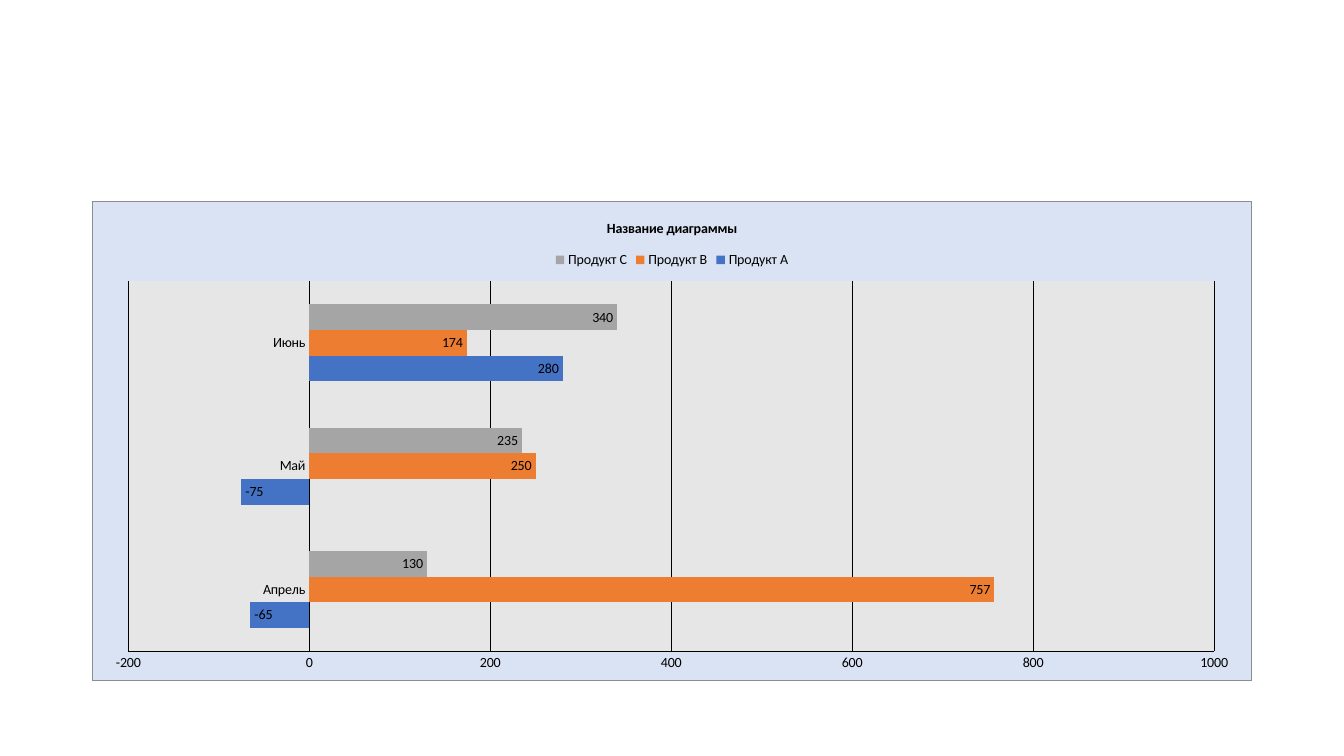
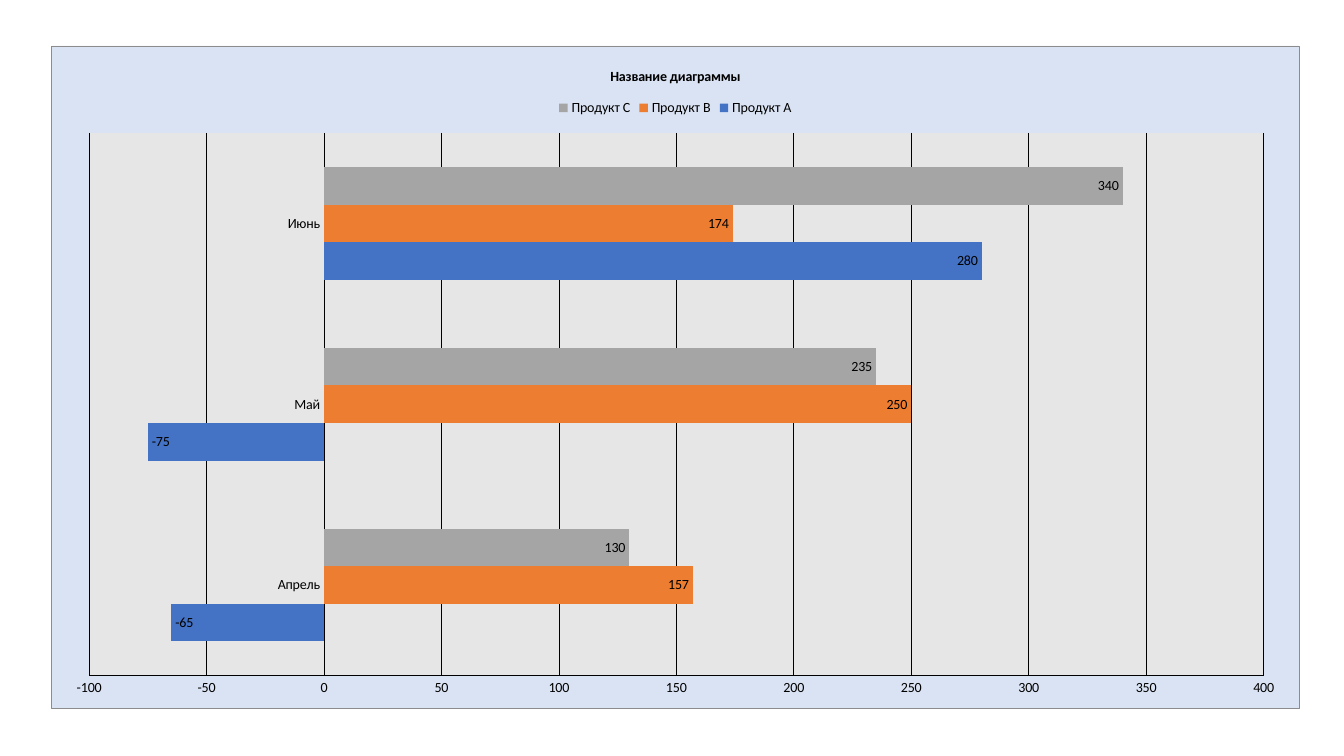
from lxml.etree import SubElement
from pptx import Presentation
from pptx.chart.data import CategoryChartData
from pptx.dml.color import RGBColor
from pptx.enum.chart import XL_CHART_TYPE, XL_LABEL_POSITION, XL_LEGEND_POSITION, XL_TICK_MARK
from pptx.oxml import parse_xml
from pptx.oxml.ns import nsdecls, qn
from pptx.util import Pt

BLACK = RGBColor(0x00, 0x00, 0x00)
BLUE = RGBColor(0x44, 0x72, 0xC4)
ORANGE = RGBColor(0xED, 0x7D, 0x31)
GRAY = RGBColor(0xA5, 0xA5, 0xA5)
PALE_BLUE = RGBColor(0xDA, 0xE3, 0xF3)
PALE_GRAY = RGBColor(0xE7, 0xE6, 0xE6)
BORDER_GRAY = RGBColor(0x8C, 0x8C, 0x8C)

FONT_NAME = "Calibri"
FONT_SIZE = Pt(10)
LINE_WIDTH = Pt(0.5)
BLANK_LAYOUT = 6
CHART_TITLE = "Название диаграммы"
MONTHS = ["Апрель", "Май", "Июнь"]
PRODUCT_COLORS = {"Продукт A": BLUE, "Продукт B": ORANGE, "Продукт C": GRAY}


def style_font(font, bold=False):
    font.name = FONT_NAME
    font.size = FONT_SIZE
    font.bold = bold
    font.color.rgb = BLACK


def style_line(line):
    line.width = LINE_WIDTH
    line.color.rgb = BLACK


def area_properties(fill_color, border_color=None):
    properties = parse_xml(f"<c:spPr {nsdecls('c', 'a')}/>")
    fill = SubElement(properties, qn("a:solidFill"))
    SubElement(fill, qn("a:srgbClr"), val=str(fill_color))
    line = SubElement(properties, qn("a:ln"))
    if border_color is None:
        SubElement(line, qn("a:noFill"))
    else:
        line.set("w", str(LINE_WIDTH))
        border = SubElement(line, qn("a:solidFill"))
        SubElement(border, qn("a:srgbClr"), val=str(border_color))
    return properties


def style_areas(chart):
    chart_space = chart.element if hasattr(chart, "element") else chart._chartSpace
    text_properties = chart_space.find(qn("c:txPr"))
    text_properties.addprevious(area_properties(PALE_BLUE, BORDER_GRAY))
    plot_area = chart_space.find(qn("c:chart")).find(qn("c:plotArea"))
    plot_area.append(area_properties(PALE_GRAY))


def style_title(chart):
    chart.has_title = True
    chart.chart_title.include_in_layout = False
    paragraph = chart.chart_title.text_frame.paragraphs[0]
    run = paragraph.add_run()
    run.text = CHART_TITLE
    style_font(run.font, bold=True)


def style_legend(chart):
    chart.has_legend = True
    chart.legend.position = XL_LEGEND_POSITION.TOP
    chart.legend.include_in_layout = False
    style_font(chart.legend.font)


def style_axes(chart, minimum, maximum, step):
    for axis in (chart.category_axis, chart.value_axis):
        axis.major_tick_mark = XL_TICK_MARK.NONE
        axis.minor_tick_mark = XL_TICK_MARK.NONE
        style_font(axis.tick_labels.font)
        style_line(axis.format.line)
    value_axis = chart.value_axis
    value_axis.minimum_scale = minimum
    value_axis.maximum_scale = maximum
    value_axis.major_unit = step
    value_axis.has_major_gridlines = True
    style_line(value_axis.major_gridlines.format.line)


def style_bars(chart):
    plot = chart.plots[0]
    plot.gap_width = 182
    plot.overlap = 0
    plot.vary_by_categories = False
    for series in plot.series:
        series.invert_if_negative = False
        series.format.fill.solid()
        series.format.fill.fore_color.rgb = PRODUCT_COLORS[series.name]
        labels = series.data_labels
        labels.show_value = True
        labels.position = XL_LABEL_POSITION.INSIDE_END
        style_font(labels.font)


def add_bar_chart(slide, box, april_product_b, scale):
    chart_data = CategoryChartData()
    chart_data.categories = MONTHS
    product_values = [(-65, -75, 280), (april_product_b, 250, 174), (130, 235, 340)]
    for product, values in zip(PRODUCT_COLORS, product_values):
        chart_data.add_series(product, values)
    frame = slide.shapes.add_chart(
        XL_CHART_TYPE.BAR_CLUSTERED, *(Pt(length) for length in box), chart_data
    )
    chart = frame.chart
    style_font(chart.font)
    style_title(chart)
    style_legend(chart)
    style_axes(chart, *scale)
    style_bars(chart)
    style_areas(chart)


def main():
    presentation = Presentation()
    presentation.slide_width = Pt(960)
    presentation.slide_height = Pt(540)
    charts = [
        ((66, 143.75, 828, 342.6), 757, (-200, 1000, 200)),
        ((36.7, 32.6, 891.4, 473.8), 157, (-100, 400, 50)),
    ]
    for box, april_product_b, scale in charts:
        slide = presentation.slides.add_slide(presentation.slide_layouts[BLANK_LAYOUT])
        add_bar_chart(slide, box, april_product_b, scale)
    presentation.save("out.pptx")


if __name__ == "__main__":
    main()
